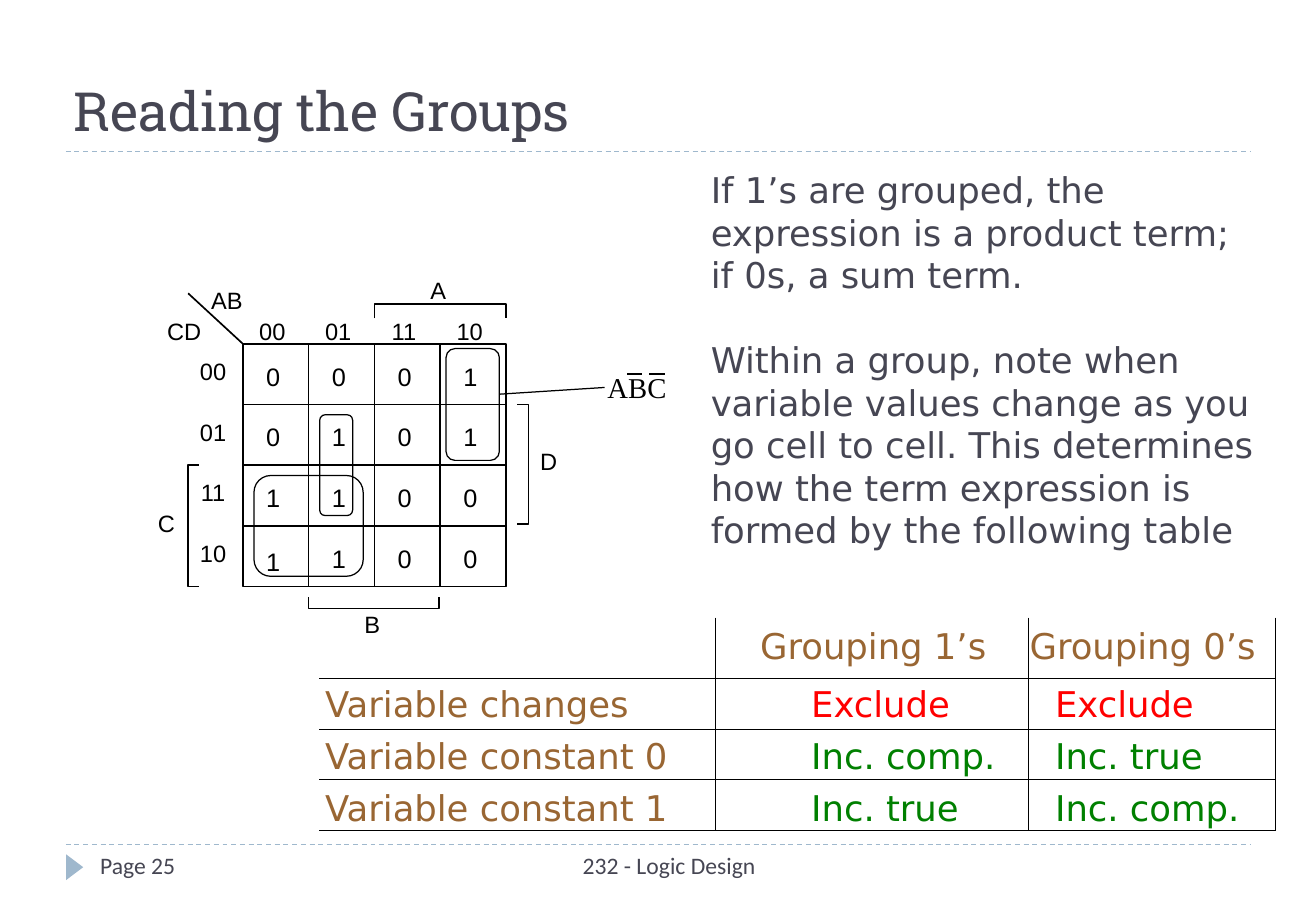
from lxml import etree
from pptx import Presentation
from pptx.dml.color import RGBColor
from pptx.enum.dml import MSO_LINE
from pptx.enum.shapes import MSO_CONNECTOR, MSO_SHAPE
from pptx.enum.text import MSO_ANCHOR, PP_ALIGN
from pptx.oxml.ns import qn
from pptx.util import Inches, Pt

STRAIGHT = MSO_CONNECTOR.STRAIGHT
DASH = MSO_LINE.DASH
TRIANGLE, ROUNDED = MSO_SHAPE.ISOSCELES_TRIANGLE, MSO_SHAPE.ROUNDED_RECTANGLE
RECTANGLE = MSO_SHAPE.RECTANGLE
TOP, MIDDLE, BOTTOM = MSO_ANCHOR.TOP, MSO_ANCHOR.MIDDLE, MSO_ANCHOR.BOTTOM
LEFT, CENTER = PP_ALIGN.LEFT, PP_ALIGN.CENTER

INK = RGBColor(0x46, 0x46, 0x53)
BLACK = RGBColor(0, 0, 0)
STEEL = RGBColor(0x9F, 0xB8, 0xCD)
BROWN = RGBColor(0x99, 0x66, 0x33)
RED = RGBColor(0xFF, 0, 0)
GREEN = RGBColor(0, 0x80, 0)

WIDTH, HEIGHT = Inches(10.83), Inches(7.5)
COLUMN, ROW = WIDTH / 20, HEIGHT / 15
MAP_LEFT, MAP_TOP = 3.69, 5.66
CODES = ["00", "01", "11", "10"]
MAP_VALUES = ["0001", "0101", "1100", "1100"]
RULES = [
    ["", "Grouping 1’s", "Grouping 0’s"],
    ["Variable changes", "Exclude", "Exclude"],
    ["Variable constant 0", "Inc. comp.", "Inc. true"],
    ["Variable constant 1", "Inc. true", "Inc. comp."],
]
RULE_TOP_MARGINS = [0, 0.02, 0.05, 0.07]


def across(columns):
    return round(columns * COLUMN)


def down(rows):
    return round(rows * ROW)


def on_map(column, row):
    """Turn a place counted in map cells into a place on the slide grid."""
    return MAP_LEFT + column, MAP_TOP + row


def write(para, text, font="DejaVu Sans", size=21, color=INK, align=LEFT,
          before=0, spacing=None):
    span = para.add_run()
    span.text = text
    span.font.name, span.font.size = font, Pt(size)
    span.font.color.rgb = color
    para.alignment = align
    para.space_before = Pt(before)
    if spacing:
        para.line_spacing = Pt(spacing)


def set_edges(cell, shown):
    """Draw the cell's named sides in black and hide the others."""
    properties = cell._tc.get_or_add_tcPr()
    for position, side in enumerate("LRTB"):
        edge = etree.Element(qn(f"a:ln{side}"), w=str(Pt(0.75)))
        if side in shown:
            fill = etree.SubElement(edge, qn("a:solidFill"))
            etree.SubElement(fill, qn("a:srgbClr"), val=str(BLACK))
        else:
            etree.SubElement(edge, qn("a:noFill"))
        properties.insert(position, edge)


class Page:
    """One slide whose lengths are counted in grid columns and rows."""

    def __init__(self, deck):
        self.slide = deck.slides.add_slide(deck.slide_layouts[5])
        self.shapes = self.slide.shapes

    def title(self, text, left, top, width, height):
        box = self.shapes.title
        box.left, box.top = across(left), down(top)
        box.width, box.height = across(width), down(height)
        box.text_frame.vertical_anchor = BOTTOM
        write(box.text_frame.paragraphs[0], text, font="Roboto Slab", size=32)

    def text(self, paragraphs, left, top, width, height, anchor=MIDDLE, **style):
        """Add a box; each paragraph is a pair of its text and space before."""
        box = self.shapes.add_textbox(across(left), down(top), across(width), down(height))
        frame = box.text_frame
        frame.word_wrap, frame.vertical_anchor = True, anchor
        for index, (text, before) in enumerate(paragraphs):
            para = frame.add_paragraph() if index else frame.paragraphs[0]
            write(para, text, before=before, **style)

    def label(self, text, x, y, font="Arial", size=14, width=0.9):
        """Centre a short black label on a point."""
        self.text([(text, 0)], x - width / 2, y - 0.33, width, 0.66, font=font,
                  size=size, color=BLACK, align=CENTER)

    def line(self, start, end, color=BLACK, width=0.75, dash=None):
        (x1, y1), (x2, y2) = start, end
        line = self.shapes.add_connector(STRAIGHT, across(x1), down(y1), across(x2), down(y2))
        line.line.color.rgb, line.line.width = color, Pt(width)
        if dash:
            line.line.dash_style = dash
        etree.SubElement(line._element.spPr, qn("a:effectLst"))

    def shape(self, kind, left, top, width, height, fill=None, outline=0.75):
        shape = self.shapes.add_shape(kind, across(left), down(top), across(width), down(height))
        shape.shadow.inherit = False
        if fill:
            shape.fill.solid()
            shape.fill.fore_color.rgb = fill
            shape.line.fill.background()
        else:
            shape.fill.background()
            shape.line.color.rgb, shape.line.width = BLACK, Pt(outline)
        return shape

    def bracket(self, points):
        places = [(across(x), down(y)) for x, y in points]
        builder = self.shapes.build_freeform(*places[0])
        builder.add_line_segments(places[1:], close=False)
        bracket = builder.convert_to_shape()
        bracket.shadow.inherit = False
        bracket.fill.background()
        bracket.line.color.rgb, bracket.line.width = BLACK, Pt(1)

    def rule_table(self, left, top, widths, heights):
        """Add the ruled table, open along its top and left sides."""
        frame = self.shapes.add_table(len(heights), len(widths), across(left), down(top),
                                      across(sum(widths)), down(sum(heights)))
        table = frame.table
        table.first_row = table.horz_banding = False
        for column, width in zip(table.columns, widths):
            column.width = across(width)
        for row, height in zip(table.rows, heights):
            row.height = down(height)
        for i, line in enumerate(RULES):
            indents = (0.05, 0.79, 0.22) if i else (0.05, 0.37, 0.01)
            for j, value in enumerate(line):
                cell = table.cell(i, j)
                cell.margin_left, cell.margin_right = Inches(indents[j]), 0
                cell.margin_top = Inches(RULE_TOP_MARGINS[i])
                cell.margin_bottom = 0 if i else Inches(0.02)
                cell.vertical_anchor = MIDDLE
                cell.fill.background()
                set_edges(cell, "RB" + "L" * (j > 0) + "T" * (i > 0))
                color = RED if value == "Exclude" else GREEN
                if value:
                    write(cell.text_frame.paragraphs[0], value,
                          color=color if i and j else BROWN)


def add_frame(page):
    for y in (13.9, 2.5):
        page.line((1, y), (19, y), color=STEEL, dash=DASH)
    page.shape(TRIANGLE, 0.94, 14.14, 0.39, 0.28, fill=STEEL).rotation = 90
    footer = dict(font="Calibri", size=14)
    page.text([("232 - Logic Design", 0)], 6.34, 13.85, 7.66, 0.8, align=CENTER, **footer)
    page.text([("Page 25", 0)], 1.34, 13.85, 4.34, 0.8, **footer)
    page.title("Reading the Groups", 0.93, 0.48, 17.77, 1.96)


def add_map(page):
    page.shape(RECTANGLE, *on_map(0, 0), 4, 4, outline=1)
    for step in (1, 2, 3):
        page.line(on_map(0, step), on_map(4, step), width=1)
        page.line(on_map(step, 0), on_map(step, 4), width=1)
    for row, values in enumerate(MAP_VALUES):
        for column, value in enumerate(values):
            lowered = 0.06 if (row, column) == (3, 0) else 0
            page.label(value, *on_map(column + 0.46, row + 0.53 + lowered), size=15, width=0.6)
    page.line(on_map(0, 0), on_map(-0.83, -0.83), width=1)
    for index, code in enumerate(CODES):
        page.label(code, *on_map(index + 0.45, -0.21))
        page.label(code, *on_map(-0.45, index + 0.45))
    for name, x, y in [("AB", -0.24, -0.72), ("CD", -0.89, -0.21), ("A", 2.97, -0.88),
                       ("B", 1.97, 4.62), ("C", -1.16, 2.95), ("D", 4.65, 1.94)]:
        page.label(name, *on_map(x, y))
    for start, end, near, far in [(2, 4, -0.42, -0.66), (1, 2.98, 4.17, 4.36)]:
        page.bracket([on_map(start, near), on_map(start, far),
                      on_map(end, far), on_map(end, near)])
    for start, end, near, far in [(2, 4, -0.67, -0.83), (1, 2.97, 4.17, 4.34)]:
        page.bracket([on_map(near, start), on_map(far, start),
                      on_map(far, end), on_map(near, end)])
    for x, y, width, height in [(3.09, 0.08, 0.81, 1.84), (0.17, 2.17, 1.66, 1.66),
                                (1.17, 1.17, 0.5, 1.66)]:
        page.shape(ROUNDED, *on_map(x, y), width, height)
    page.line(on_map(3.91, 0.83), on_map(5.5, 0.72))
    page.label("ABC", *on_map(5.99, 0.71), font="Times New Roman", size=17, width=1.3)
    for start, end in [(5.84, 6.06), (6.18, 6.41)]:
        page.line(on_map(start, 0.5), on_map(end, 0.5))


def main():
    deck = Presentation()
    deck.slide_width, deck.slide_height = WIDTH, HEIGHT
    page = Page(deck)
    add_frame(page)
    add_map(page)
    page.text([
        ("If 1’s are grouped, the expression is a product term;", 0),
        ("if 0s, a sum term.", 0),
        ("Within a group, note when variable values change as you go cell to cell. "
         "This determines how the term expression is formed by the following table", 25.2),
    ], 10.62, 2.67, 9.14, 6.84, anchor=TOP, spacing=25.2)
    page.rule_table(4.85, 10.17, [6.02, 4.76, 3.75], [1, 0.84, 0.83, 0.83])
    deck.save("out.pptx")


if __name__ == "__main__":
    main()
